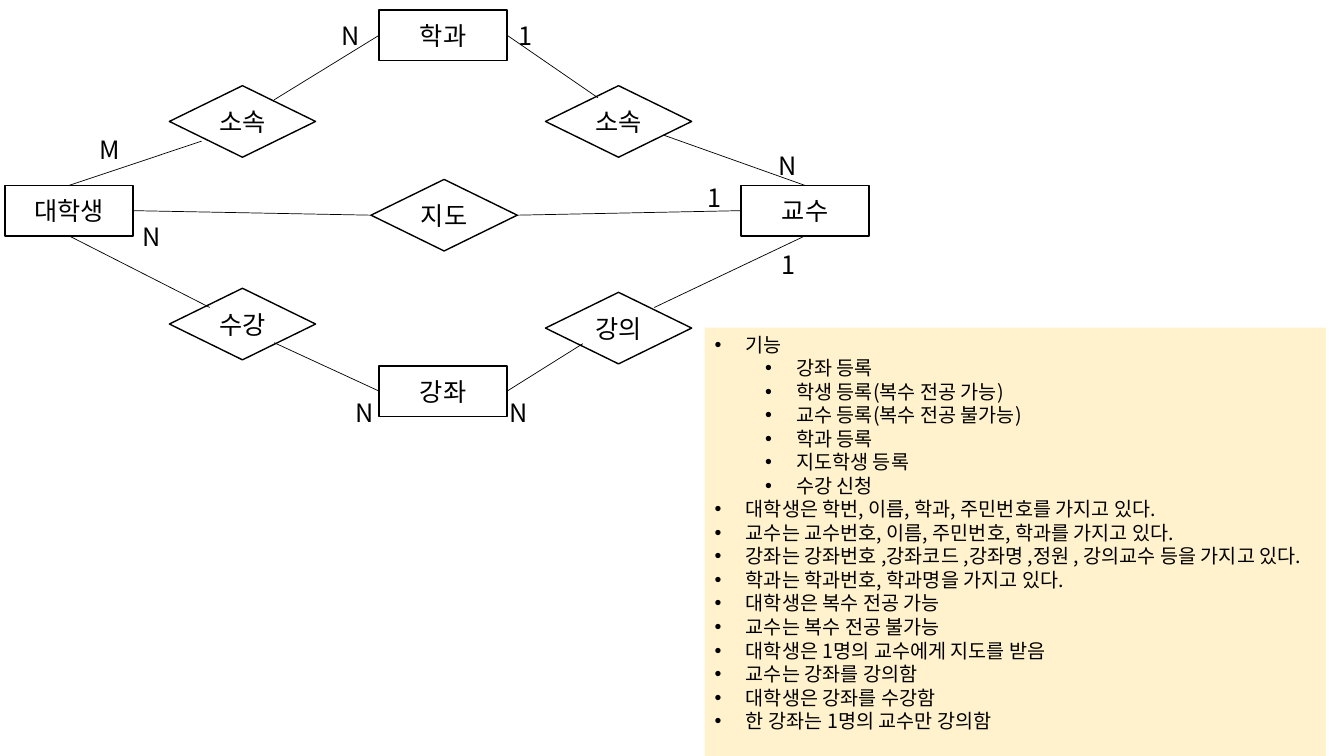
from lxml.etree import SubElement
from pptx import Presentation
from pptx.dml.color import RGBColor
from pptx.enum.shapes import MSO_CONNECTOR as LINK, MSO_SHAPE as FORM
from pptx.enum.text import MSO_ANCHOR as ANCHOR, MSO_AUTO_SIZE as FIT, PP_ALIGN as ALIGN
from pptx.oxml.ns import qn
from pptx.util import Inches, Pt

BLACK = RGBColor(0x00, 0x00, 0x00)
WHITE = RGBColor(0xFF, 0xFF, 0xFF)
CREAM = RGBColor(0xFF, 0xF2, 0xCC)
FONT = "Noto Sans CJK KR"
TOP, LEFT, BOTTOM, RIGHT = range(4)


def write(para, text, size=18, align=ALIGN.LEFT, level=0, bullet=False):
    para.alignment, para.level = align, level
    if bullet:
        props = para._p.get_or_add_pPr()
        props.set("marL", str(Inches(0.31 + 0.5 * level)))
        props.set("indent", str(Inches(-0.31)))
        SubElement(props, qn("a:buFont"), typeface="Arial")
        SubElement(props, qn("a:buChar"), char="•")
    run = para.add_run()
    run.text = text
    font = run.font
    font.size, font.name = Pt(size), FONT
    font.color.rgb = BLACK
    # Hangul takes the East Asian typeface
    SubElement(run._r.get_or_add_rPr(), qn("a:ea"), typeface=FONT)


class Board:
    """Entity diagram on one slide, black on white."""

    def __init__(self, slide):
        self.shapes = slide.shapes

    def shape(self, form, x, y, w, h, fill):
        item = self.shapes.add_shape(form, Inches(x), Inches(y), Inches(w), Inches(h))
        item.shadow.inherit = False
        item.fill.solid()
        item.fill.fore_color.rgb = fill
        item.line.fill.background()
        item.text_frame.word_wrap = True
        return item

    def node(self, form, text, x, y, w, h):
        item = self.shape(form, x, y, w, h, WHITE)
        item.line.color.rgb = BLACK
        item.line.width = Pt(1)
        item.text_frame.vertical_anchor = ANCHOR.MIDDLE
        write(item.text_frame.paragraphs[0], text, align=ALIGN.CENTER)
        return item

    def entity(self, text, x, y):
        return self.node(FORM.RECTANGLE, text, x, y, 1.27, 0.5)

    def relation(self, text, x, y):
        return self.node(FORM.DIAMOND, text, x, y, 1.45, 0.71)

    def link(self, box, side, x=0, y=0, end=None):
        """Join a box side to a point, or to a (shape, side) end."""
        line = self.shapes.add_connector(LINK.STRAIGHT, 0, 0, Inches(x), Inches(y))
        line.begin_connect(box, side)
        if end:
            line.end_connect(*end)
        line.line.color.rgb = BLACK
        line.line.width = Pt(0.5)
        SubElement(line._element.spPr, qn("a:effectLst"))

    def label(self, text, x, y):
        box = self.shapes.add_textbox(Inches(x), Inches(y), Inches(0.33), Inches(0.4))
        box.text_frame.word_wrap = True
        box.text_frame.auto_size = FIT.SHAPE_TO_FIT_TEXT
        write(box.text_frame.paragraphs[0], text)

    def notes(self, rows, x, y, w, h):
        frame = self.shape(FORM.RECTANGLE, x, y, w, h, CREAM).text_frame
        frame.vertical_anchor = ANCHOR.TOP
        frame.auto_size = FIT.SHAPE_TO_FIT_TEXT
        for i, (level, text) in enumerate(rows):
            para = frame.add_paragraph() if i else frame.paragraphs[0]
            write(para, text, size=14, level=level, bullet=True)


LABELS = [
    ("M", 0.89, 1.28), ("N", 3.29, 0.15), ("N", 7.62, 1.44),
    ("1", 5.04, 0.15), ("1", 7.65, 2.42), ("N", 4.96, 3.89),
    ("N", 3.43, 3.89), ("N", 1.32, 2.15), ("1", 6.92, 1.76),
]
NOTES = [
    (0, "기능"),
    (1, "강좌 등록"),
    (1, "학생 등록(복수 전공 가능)"),
    (1, "교수 등록(복수 전공 불가능)"),
    (1, "학과 등록"),
    (1, "지도학생 등록"),
    (1, "수강 신청"),
    (0, "대학생은 학번, 이름, 학과, 주민번호를 가지고 있다."),
    (0, "교수는 교수번호, 이름, 주민번호, 학과를 가지고 있다."),
    (0, "강좌는 강좌번호 ,강좌코드 ,강좌명 ,정원 , 강의교수 등을 가지고 있다."),
    (0, "학과는 학과번호, 학과명을 가지고 있다."),
    (0, "대학생은 복수 전공 가능"),
    (0, "교수는 복수 전공 불가능"),
    (0, "대학생은 1명의 교수에게 지도를 받음"),
    (0, "교수는 강좌를 강의함"),
    (0, "대학생은 강좌를 수강함"),
    (0, "한 강좌는 1명의 교수만 강의함"),
]


def main():
    deck = Presentation()
    deck.slide_width, deck.slide_height = Inches(13.33), Inches(7.5)
    board = Board(deck.slides.add_slide(deck.slide_layouts[6]))

    # Entities
    prof = board.entity("교수", 7.35, 1.84)
    student = board.entity("대학생", 0.05, 1.84)
    dept = board.entity("학과", 3.76, 0.1)
    course = board.entity("강좌", 3.76, 3.63)

    # Relations
    for text, x, y in [("소속", 1.68, 0.85), ("소속", 5.41, 0.85),
                       ("강의", 5.41, 2.9), ("수강", 1.68, 2.86)]:
        board.relation(text, x, y)
    guide = board.relation("지도", 3.68, 1.78)

    # Links to the slanted edges of the diamonds
    for box, side, x, y in [
        (student, TOP, 2, 1.4), (dept, LEFT, 2.72, 0.99),
        (student, BOTTOM, 2.08, 3.05), (course, LEFT, 2.72, 3.4),
        (dept, RIGHT, 5.93, 0.97), (prof, TOP, 6.58, 1.34),
        (prof, BOTTOM, 6.49, 3.05), (course, RIGHT, 5.78, 3.41),
    ]:
        board.link(box, side, x, y)

    # Links through the middle relation
    board.link(student, RIGHT, end=(guide, LEFT))
    board.link(prof, LEFT, end=(guide, RIGHT))

    # Cardinalities and notes
    for text, x, y in LABELS:
        board.label(text, x, y)
    board.notes(NOTES, 6.99, 3.25, 6.16, 4.34)

    deck.save("out.pptx")


if __name__ == "__main__":
    main()
